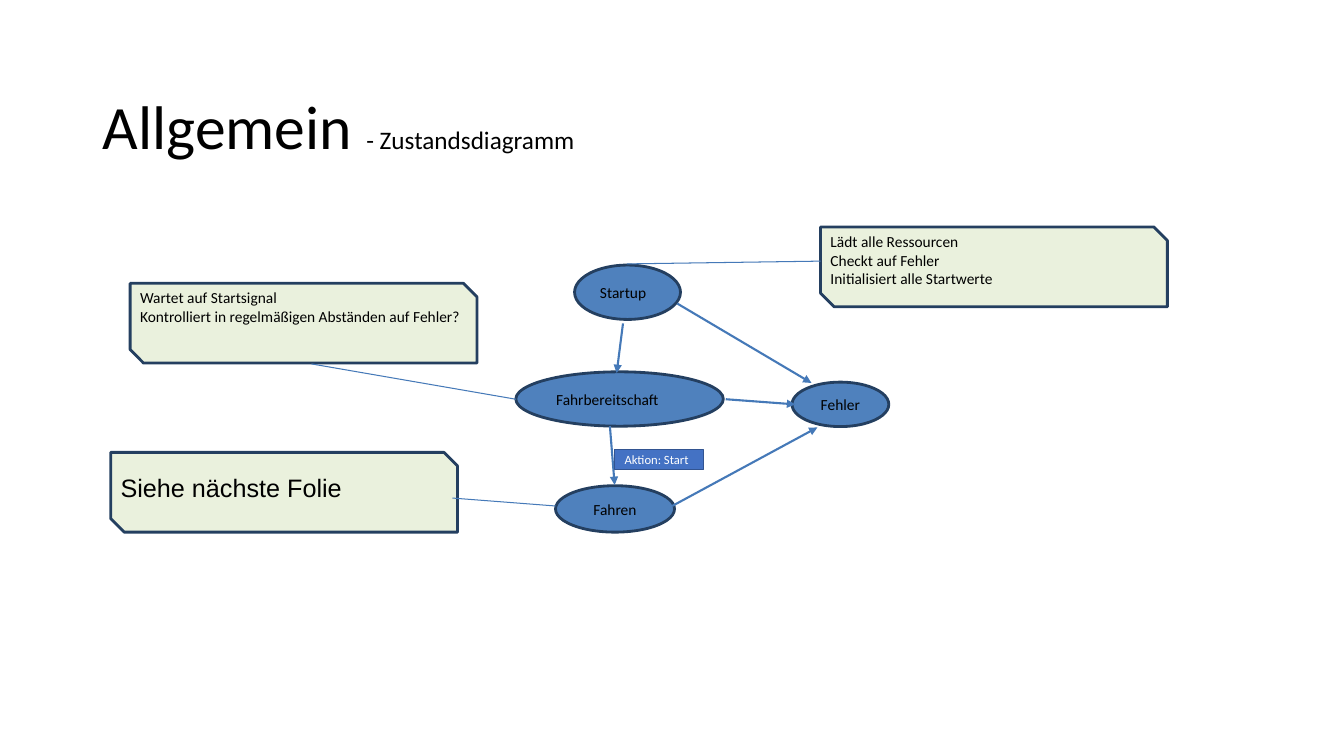
from lxml import etree
from pptx import Presentation
from pptx.dml.color import RGBColor
from pptx.enum.shapes import MSO_CONNECTOR, MSO_SHAPE
from pptx.enum.text import MSO_ANCHOR, PP_ALIGN
from pptx.oxml.ns import qn
from pptx.util import Cm, Pt

OVAL, RECT = MSO_SHAPE.OVAL, MSO_SHAPE.RECTANGLE
STRAIGHT = MSO_CONNECTOR.STRAIGHT
LEFT, CENTER = PP_ALIGN.LEFT, PP_ALIGN.CENTER
TOP, MIDDLE, BOTTOM = MSO_ANCHOR.TOP, MSO_ANCHOR.MIDDLE, MSO_ANCHOR.BOTTOM

COLORS = {
    "state": "4F81BD", "edge": "243F60", "arrow": "4579B8", "note": "EAF1DD",
    "label": "4472C4", "rim": "325491", "black": "000000", "white": "FFFFFF",
}


def color(name):
    return RGBColor.from_string(COLORS[name])


def write(frame, lines, size=11, font="Calibri", ink="black", align=LEFT,
          anchor=MIDDLE, top=0.13, space=1.0):
    """Fill a frame; each line is a list of (text, size or None) runs or a string."""
    frame.word_wrap = True
    frame.vertical_anchor = anchor
    frame.margin_top = Cm(top)
    for i, line in enumerate(lines):
        para = frame.add_paragraph() if i else frame.paragraphs[0]
        para.alignment = align
        para.line_spacing = space
        for text, own in [(line, None)] if isinstance(line, str) else line:
            run = para.add_run()
            run.text = text
            run.font.size = Pt(own or size)
            run.font.name = font
            run.font.color.rgb = color(ink)


class Board:
    note_size = (8.74, 2.01)
    snip = 0.34

    def __init__(self, slide):
        self.shapes = slide.shapes

    def paint(self, shape, fill, edge, width):
        shape.shadow.inherit = False
        shape.fill.solid()
        shape.fill.fore_color.rgb = color(fill)
        shape.line.color.rgb = color(edge)
        shape.line.width = Pt(width)

    def title(self, box, *runs):
        frame = self.shapes.add_textbox(*map(Cm, box)).text_frame
        write(frame, [runs], anchor=BOTTOM, space=0.9)

    def state(self, text, box, align):
        oval = self.shapes.add_shape(OVAL, *map(Cm, box))
        self.paint(oval, "state", "edge", 2)
        write(oval.text_frame, [text], align=align)

    def label(self, text, box):
        rect = self.shapes.add_shape(RECT, *map(Cm, box))
        self.paint(rect, "label", "rim", 1)
        write(rect.text_frame, [text], size=9, ink="white")

    def note(self, x, y, lines, **style):
        """Draw a box with its top right and bottom left corners cut off."""
        w, h = self.note_size
        cut = self.snip
        points = [(x + w - cut, y), (x + w, y + cut), (x + w, y + h),
                  (x + cut, y + h), (x, y + h - cut)]
        path = self.shapes.build_freeform(Cm(x), Cm(y))
        path.add_line_segments([(Cm(a), Cm(b)) for a, b in points], close=True)
        box = path.convert_to_shape()
        self.paint(box, "note", "edge", 2)
        write(box.text_frame, lines, anchor=TOP, **style)

    def link(self, ends, width=0.75, head=False):
        line = self.shapes.add_connector(STRAIGHT, *map(Cm, ends))
        line.line.color.rgb = color("arrow")
        line.line.width = Pt(width)
        if head:
            etree.SubElement(line.line._get_or_add_ln(), qn("a:tailEnd"), type="triangle")
        etree.SubElement(line._element.spPr, qn("a:effectLst"))


def main():
    deck = Presentation()
    deck.slide_width, deck.slide_height = Cm(33.87), Cm(19.05)
    board = Board(deck.slides.add_slide(deck.slide_layouts[6]))

    board.title((2.34, 1.22, 29.21, 3.02), ("Allgemein ", 44), ("- Zustandsdiagramm", 18))

    for text, box, align in [
        ("Startup", (14.48, 6.68, 2.67, 1.37), LEFT),
        ("Fahrbereitschaft", (13, 9.37, 5.23, 1.37), LEFT),
        ("Fahren", (14, 12.24, 3, 1.17), CENTER),
        ("Fehler", (19.96, 9.63, 2.44, 1.12), CENTER),
    ]:
        board.state(text, box, align)

    for ends in [
        (17.07, 7.65, 20.45, 9.65),
        (15.7, 8.15, 15.54, 9.4),
        (15.37, 10.74, 15.49, 12.22),
        (16.94, 12.75, 20.6, 10.77),
        (18.29, 10.06, 20.04, 10.19),
    ]:
        board.link(ends, width=1.5, head=True)

    board.note(20.68, 5.72, ["Lädt alle Ressourcen", "Checkt auf Fehler",
                             "Initialisiert alle Startwerte"])
    board.note(3.28, 7.14, ["Wartet auf Startsignal",
                            "Kontrolliert in regelmäßigen Abständen auf Fehler?"])
    board.note(2.79, 11.4, ["Siehe nächste Folie"], size=18, font="Arial", top=0.49)

    for ends in [
        (20.68, 6.58, 15.8, 6.65),
        (13, 10.06, 7.85, 9.17),
        (14, 12.75, 11.4, 12.55),
    ]:
        board.link(ends)

    board.label("Aktion: Start", (15.49, 11.33, 2.24, 0.51))
    deck.save("out.pptx")


if __name__ == "__main__":
    main()
